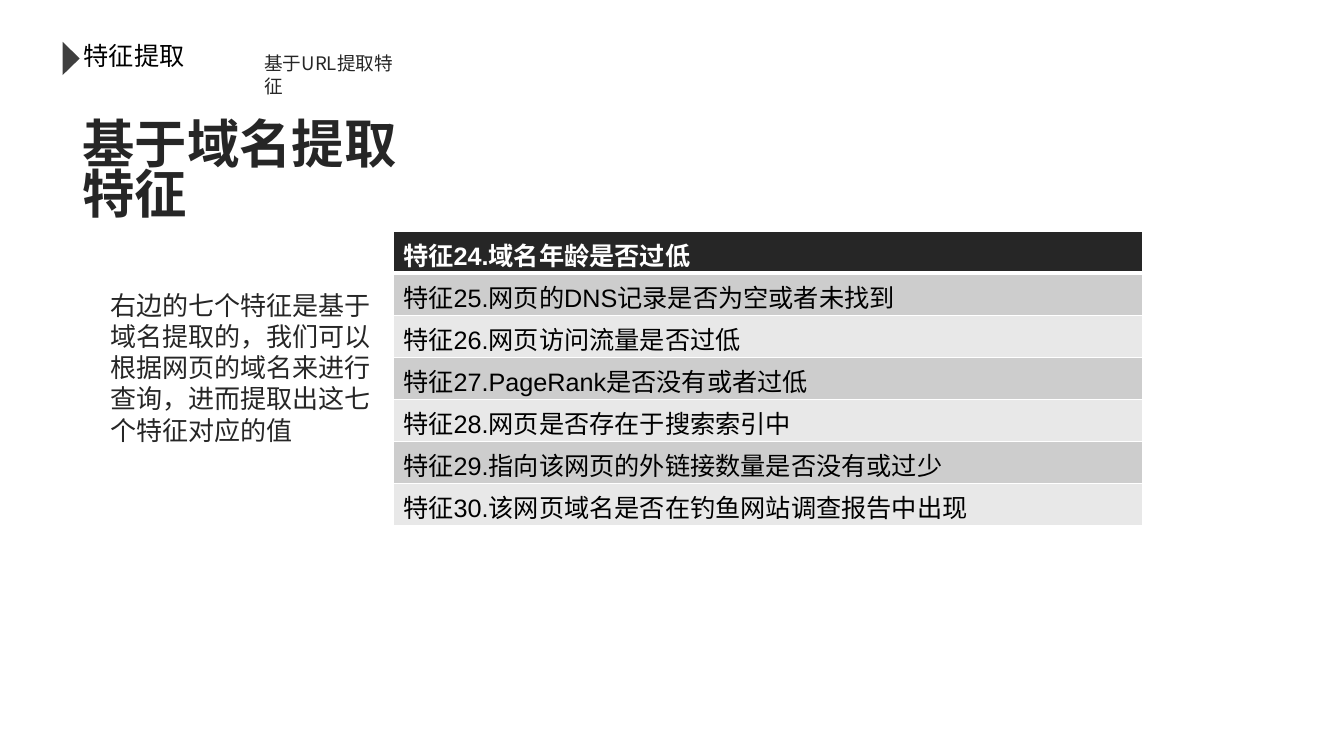
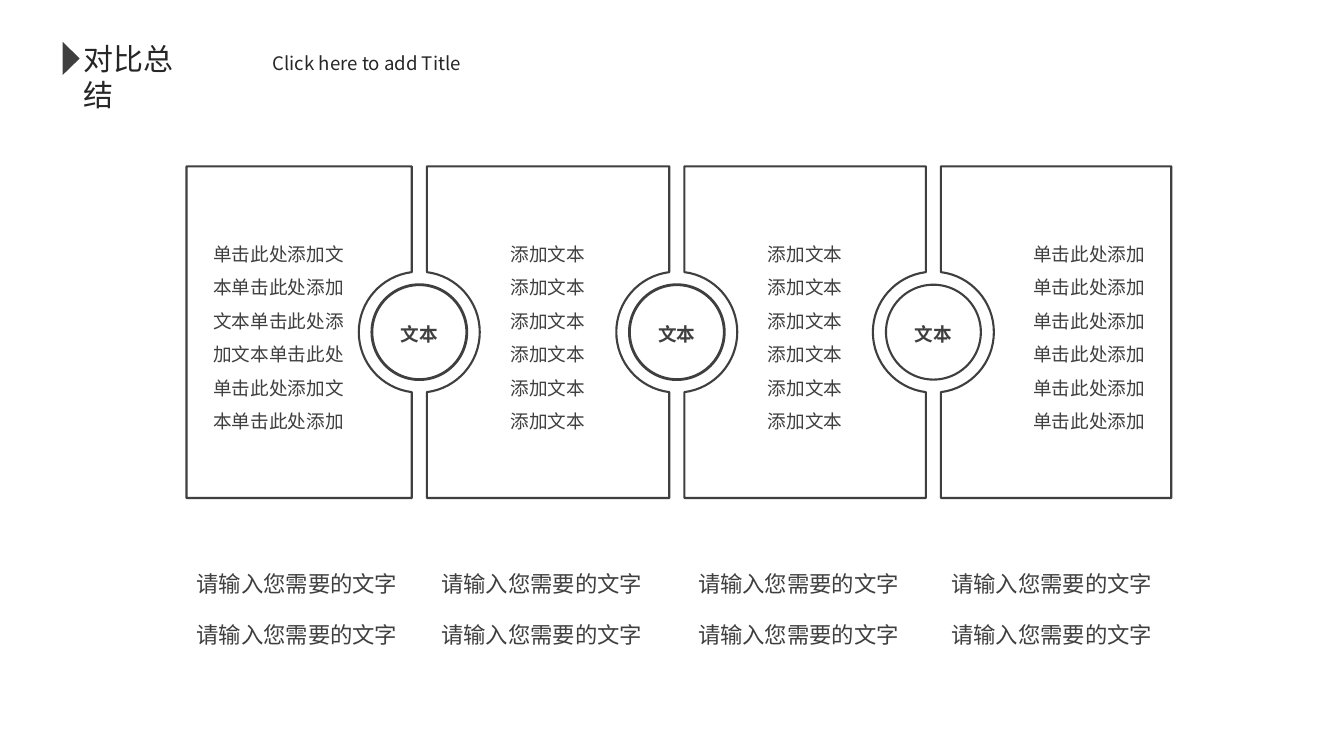
from dataclasses import dataclass
from math import asin, cos, pi, sin, tan
from typing import Any, Sequence

from lxml import etree
from pptx import Presentation
from pptx.dml.color import RGBColor
from pptx.enum.shapes import MSO_SHAPE
from pptx.enum.text import MSO_ANCHOR, MSO_AUTO_SIZE, PP_ALIGN
from pptx.oxml.ns import qn
from pptx.util import Emu, Inches, Pt

WHITE = RGBColor(0xFF, 0xFF, 0xFF)
BLACK = RGBColor(0x00, 0x00, 0x00)
INK = RGBColor(0x26, 0x26, 0x26)
GRAPHITE = RGBColor(0x3F, 0x3F, 0x3F)
BAND_DARK = RGBColor(0xCD, 0xCD, 0xCD)
BAND_LIGHT = RGBColor(0xE8, 0xE8, 0xE8)

LEFT, CENTER, RIGHT = PP_ALIGN.LEFT, PP_ALIGN.CENTER, PP_ALIGN.RIGHT
TOP, MIDDLE = MSO_ANCHOR.TOP, MSO_ANCHOR.MIDDLE
NO_AUTOFIT = MSO_AUTO_SIZE.NONE
RECTANGLE, TRIANGLE, OVAL = MSO_SHAPE.RECTANGLE, MSO_SHAPE.ISOSCELES_TRIANGLE, MSO_SHAPE.OVAL

SANS = "Noto Sans CJK SC"
LATIN = "Arial"
SLIDE_WIDTH, SLIDE_HEIGHT = Emu(12192000), Emu(6858000)
TITLE_ONLY = 5
LEADING = 1.2
SIDE_INSET, EDGE_INSET = Inches(0.1), Inches(0.05)


def across(percent: float) -> Emu:
    return Emu(round(SLIDE_WIDTH * percent / 100))


def down(percent: float) -> Emu:
    return Emu(round(SLIDE_HEIGHT * percent / 100))


@dataclass(frozen=True)
class Frame:
    left: float
    top: float
    width: float
    height: float

    def emu(self) -> tuple[Emu, Emu, Emu, Emu]:
        return across(self.left), down(self.top), across(self.width), down(self.height)


@dataclass(frozen=True)
class TextStyle:
    size: float
    color: RGBColor
    font: str = SANS
    bold: bool = False
    align: Any = LEFT
    spacing: float = 1.0


@dataclass(frozen=True)
class Header:
    label: str
    label_style: TextStyle
    subtitle: str
    subtitle_frame: Frame


@dataclass(frozen=True)
class Card:
    left: float
    right: float
    notch_left: bool
    notch_right: bool
    caption_left: float
    paragraphs: tuple[str, ...]
    align: Any
    inset_left: float
    inset_right: float


BACKDROP_FRAME = Frame(0, 0, 100, 100)
LABEL_FRAME = Frame(5.48, 4.67, 10.28, 6)
MARKER_FRAME = Frame(4.05, 6.6, 2.48, 2.27)
SUBTITLE = TextStyle(13.3, INK)
HEADING = TextStyle(37.4, INK, bold=True, spacing=0.8)
BODY = TextStyle(18.6, INK)
CAPTION = TextStyle(16, GRAPHITE)
DISC_LABEL = TextStyle(13.3, GRAPHITE, bold=True, align=CENTER, spacing=1.2)

FEATURES = (
    "特征24.域名年龄是否过低",
    "特征25.网页的DNS记录是否为空或者未找到",
    "特征26.网页访问流量是否过低",
    "特征27.PageRank是否没有或者过低",
    "特征28.网页是否存在于搜索索引中",
    "特征29.指向该网页的外链接数量是否没有或过少",
    "特征30.该网页域名是否在钓鱼网站调查报告中出现",
)

CARD_TOP, CARD_HEIGHT = 22, 43.87
CARDS_LEFT, CARDS_RIGHT = 13.88, 87.15
JOINTS = (31.2, 50.36, 69.45)
JOINT_WEIGHTS = (2, 2, 1.5)
HALF_GAP, RING_RADIUS, DISC_RADIUS = 0.56, 4.5, 3.53
CAPTION_TOPS = (74.8, 81.55)
CAPTION_TEXT = "请输入您需要的文字"
SHORT_LINES = ("添加文本",) * 6
CARD_CONTENTS = (
    (13.88, ("单击此处添加文本单击此处添加文本单击此处添加文本单击此处", "单击此处添加文本单击此处添加"), LEFT, 2, 4.95),
    (32.1, SHORT_LINES, CENTER, 4.95, 4.95),
    (51.2, SHORT_LINES, CENTER, 4.95, 4.95),
    (70.05, ("单击此处添加单击此处添加单击此处添加",) * 2, RIGHT, 5.92, 1.95),
)


def assign(target: Any, values: dict[str, Any]) -> None:
    for name, value in values.items():
        setattr(target, name, value)


def write(text_frame: Any, paragraphs: Sequence[str], style: TextStyle) -> None:
    for index, text in enumerate(paragraphs):
        paragraph = text_frame.paragraphs[0] if index == 0 else text_frame.add_paragraph()
        assign(paragraph, {
            "alignment": style.align,
            "line_spacing": Pt(round(style.size * LEADING * style.spacing, 1)),
            "space_before": Pt(0),
            "space_after": Pt(0),
        })
        run = paragraph.add_run()
        run.text = text
        assign(run.font, {"size": Pt(style.size), "bold": style.bold, "name": style.font})
        run.font.color.rgb = style.color
        east_asian = etree.SubElement(run.font._element, qn("a:ea"))
        east_asian.set("typeface", SANS)


def frame_text(text_frame: Any, anchor: Any, side_insets: tuple[Emu, Emu], edge: Emu) -> None:
    assign(text_frame, {
        "word_wrap": True,
        "auto_size": NO_AUTOFIT,
        "vertical_anchor": anchor,
        "margin_left": side_insets[0],
        "margin_right": side_insets[1],
        "margin_top": edge,
        "margin_bottom": edge,
    })


def add_text(slide: Any, frame: Frame, text: str, style: TextStyle) -> None:
    box = slide.shapes.add_textbox(*frame.emu())
    frame_text(box.text_frame, TOP, (SIDE_INSET, SIDE_INSET), EDGE_INSET)
    write(box.text_frame, (text,), style)


def add_solid(slide: Any, preset: Any, frame: Frame, color: RGBColor) -> Any:
    solid = slide.shapes.add_shape(preset, *frame.emu())
    solid.shadow.inherit = False
    solid.fill.solid()
    solid.fill.fore_color.rgb = color
    solid.line.fill.background()
    return solid


def outline(shape: Any, weight: float) -> None:
    shape.shadow.inherit = False
    shape.fill.background()
    shape.line.color.rgb = GRAPHITE
    shape.line.width = Pt(weight)


def add_header(slide: Any, header: Header) -> None:
    backdrop = add_solid(slide, RECTANGLE, BACKDROP_FRAME, WHITE)
    title = slide.shapes.title
    title._element.addprevious(backdrop._element)
    assign(title, dict(zip(("left", "top", "width", "height"), LABEL_FRAME.emu())))
    frame_text(title.text_frame, TOP, (SIDE_INSET, SIDE_INSET), EDGE_INSET)
    write(title.text_frame, (header.label,), header.label_style)
    add_solid(slide, TRIANGLE, MARKER_FRAME, GRAPHITE).rotation = 90
    add_text(slide, header.subtitle_frame, header.subtitle, SUBTITLE)


def border_cell(cell: Any, top_weight: float, bottom_weight: float) -> None:
    properties = cell._tc.get_or_add_tcPr()
    weights = {"a:lnL": 1, "a:lnR": 1, "a:lnT": top_weight, "a:lnB": bottom_weight}
    for position, (tag, weight) in enumerate(weights.items()):
        border = etree.Element(qn(tag), w=str(Pt(weight)))
        solid = etree.SubElement(border, qn("a:solidFill"))
        etree.SubElement(solid, qn("a:srgbClr"), val=str(WHITE))
        properties.insert(position, border)


def add_feature_table(slide: Any, frame: Frame) -> None:
    table = slide.shapes.add_table(len(FEATURES), 1, *frame.emu()).table
    for index, feature in enumerate(FEATURES):
        is_head = index == 0
        band = BAND_DARK if index % 2 else BAND_LIGHT
        cell = table.cell(index, 0)
        cell.fill.solid()
        cell.fill.fore_color.rgb = INK if is_head else band
        assign(cell, {
            "margin_left": SIDE_INSET,
            "margin_right": SIDE_INSET,
            "margin_top": Inches(0.11),
            "margin_bottom": 0,
            "vertical_anchor": TOP,
        })
        border_cell(cell, 3 if index == 1 else 1, 3 if is_head else 1)
        write(cell.text_frame, (feature,), TextStyle(18, WHITE if is_head else BLACK, LATIN, is_head))


def notch(edge: float, direction: int) -> list[tuple[int, int]]:
    joint_x = across(edge - direction * HALF_GAP)
    middle_y = down(CARD_TOP + CARD_HEIGHT / 2)
    radius = across(RING_RADIUS)
    reach = pi / 2 - asin(HALF_GAP / RING_RADIUS)
    handle = 4 / 3 * tan(reach / 4)

    def on_ring(angle: float, pull: float) -> tuple[int, int]:
        x = cos(angle) - pull * sin(angle)
        y = sin(angle) + pull * cos(angle)
        return round(joint_x + direction * radius * x), round(middle_y + radius * y)

    points = [on_ring(-reach, 0)]
    for start, end in ((-reach, 0), (0, reach)):
        points += [on_ring(start, handle), on_ring(end, -handle), on_ring(end, 0)]
    return points


def bend(panel: Any, starts: Sequence[int]) -> None:
    segments = list(panel._element.iter(qn("a:lnTo")))
    for start in starts:
        curve = etree.Element(qn("a:cubicBezTo"))
        segments[start].addprevious(curve)
        for segment in segments[start:start + 3]:
            curve.append(segment[0])
            segment.getparent().remove(segment)


def add_card(slide: Any, card: Card) -> None:
    left, right = across(card.left), across(card.right)
    top, bottom = down(CARD_TOP), down(CARD_TOP + CARD_HEIGHT)
    points = [(right, top)]
    curve_starts = []
    if card.notch_right:
        curve_starts += [len(points) + 1, len(points) + 4]
        points += notch(card.right, -1)
    points += [(right, bottom), (left, bottom)]
    if card.notch_left:
        curve_starts += [len(points) + 1, len(points) + 4]
        points += reversed(notch(card.left, 1))
    builder = slide.shapes.build_freeform(left, top, scale=1.0)
    builder.add_line_segments(points, close=True)
    panel = builder.convert_to_shape()
    bend(panel, curve_starts)
    outline(panel, 1.5)
    insets = across(card.inset_left), across(card.inset_right)
    frame_text(panel.text_frame, MIDDLE, insets, EDGE_INSET)
    write(panel.text_frame, card.paragraphs, TextStyle(13.3, GRAPHITE, align=card.align, spacing=1.5))


def add_disc(slide: Any, joint: float, weight: float) -> None:
    radius = across(DISC_RADIUS)
    middle_y = down(CARD_TOP + CARD_HEIGHT / 2)
    disc = slide.shapes.add_shape(OVAL, across(joint) - radius, middle_y - radius, 2 * radius, 2 * radius)
    outline(disc, weight)
    frame_text(disc.text_frame, MIDDLE, (Emu(0), Emu(0)), Emu(0))
    write(disc.text_frame, ("文本",), DISC_LABEL)


def make_cards() -> list[Card]:
    lefts = (CARDS_LEFT, *(joint + HALF_GAP for joint in JOINTS))
    rights = (*(joint - HALF_GAP for joint in JOINTS), CARDS_RIGHT)
    last = len(CARD_CONTENTS) - 1
    return [
        Card(left, right, index > 0, index < last, *content)
        for index, (left, right, content) in enumerate(zip(lefts, rights, CARD_CONTENTS))
    ]


def build_features(slide: Any) -> None:
    label_style = TextStyle(18, BLACK, LATIN)
    add_header(slide, Header("特征提取", label_style, "基于URL提取特征", Frame(18.93, 6.27, 12, 4.27)))
    add_text(slide, Frame(5.4, 15.73, 26.33, 15.87), "基于域名提取特征", HEADING)
    introduction = "右边的七个特征是基于域名提取的，我们可以根据网页的域名来进行查询，进而提取出这七个特征对应的值"
    add_text(slide, Frame(7.5, 37.6, 21.23, 26.67), introduction, BODY)
    add_feature_table(slide, Frame(29.25, 30.6, 55.8, 38.93))


def build_comparison(slide: Any) -> None:
    label_style = TextStyle(21.4, INK)
    add_header(slide, Header("对比总结", label_style, "Click here to add Title", Frame(19.55, 6.27, 17.25, 4.4)))
    for card in make_cards():
        add_card(slide, card)
        for caption_top in CAPTION_TOPS:
            add_text(slide, Frame(card.caption_left, caption_top, 29.55, 4.93), CAPTION_TEXT, CAPTION)
    for joint, weight in zip(JOINTS, JOINT_WEIGHTS):
        add_disc(slide, joint, weight)


def main() -> None:
    deck = Presentation()
    assign(deck, {"slide_width": SLIDE_WIDTH, "slide_height": SLIDE_HEIGHT})
    for build in (build_features, build_comparison):
        build(deck.slides.add_slide(deck.slide_layouts[TITLE_ONLY]))
    deck.save("out.pptx")


if __name__ == "__main__":
    main()
